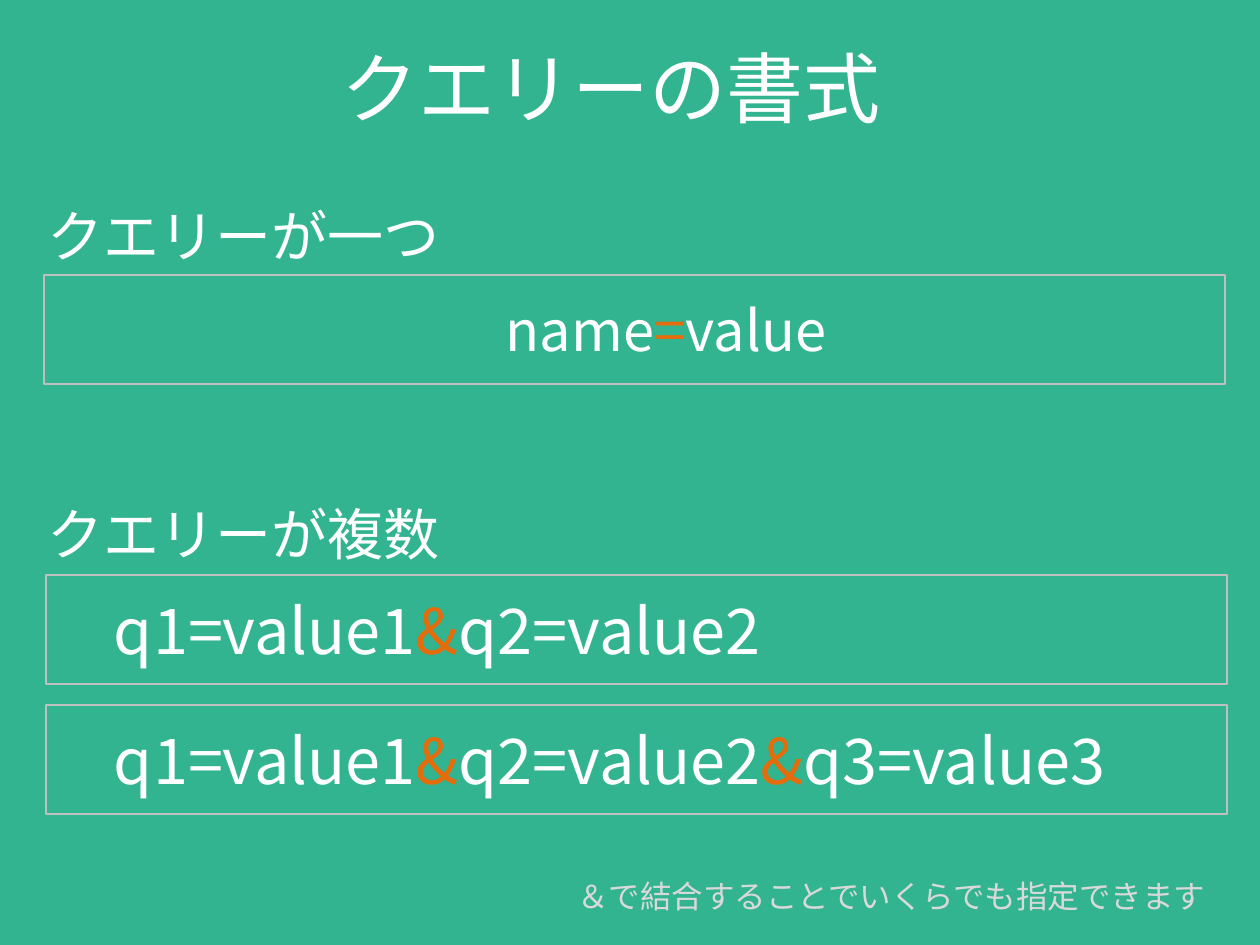
from dataclasses import dataclass

from pptx import Presentation
from pptx.dml.color import RGBColor
from pptx.enum import shapes, text
from pptx.oxml.ns import qn
from pptx.util import Emu, Pt


@dataclass(frozen=True)
class Theme:
    font: str = "Noto Sans CJK JP"
    background: str = "32B490"
    body: str = "FFFFFF"
    accent: str = "E46C0A"
    note: str = "D9D9D9"
    border: str = "BFBFBF"
    title_size: int = 44
    heading_size: int = 32
    code_size: int = 36
    note_size: int = 18


THEME = Theme()
EMU_PER_PX = 914400 / 126


def px(n):
    return Emu(round(n * EMU_PER_PX))


def box(*lengths):
    return [px(n) for n in lengths]


def write(tf, content, size, color=THEME.body, align=text.PP_ALIGN.LEFT,
          indent=0, accent_on=None):
    """Fill the first paragraph, colouring each accent_on symbol."""
    p = tf.paragraphs[0]
    p.alignment = align
    if indent:
        pPr = p._p.get_or_add_pPr()
        pPr.set("marL", str(px(indent)))
        pPr.set("indent", "0")
    parts = [content]
    if accent_on:
        parts = content.replace(accent_on, f"\n{accent_on}\n").split("\n")
    for part in parts:
        r = p.add_run()
        r.text = part
        r.font.size = Pt(size)
        r.font.name = THEME.font
        r.font.color.rgb = RGBColor.from_string(
            THEME.accent if part == accent_on else color)
        ea = r._r.get_or_add_rPr().makeelement(
            qn("a:ea"), {"typeface": THEME.font})
        r.font._element.find(qn("a:latin")).addnext(ea)


def add_title(s, content):
    sp = s.shapes.title
    sp.left, sp.top, sp.width, sp.height = box(44, 8, 1134, 157)
    tf = sp.text_frame
    tf.auto_size = text.MSO_AUTO_SIZE.NONE
    tf.vertical_anchor = text.MSO_ANCHOR.MIDDLE
    write(tf, content, THEME.title_size, align=text.PP_ALIGN.CENTER)


def add_label(s, content, left, top, width, height, size, color=THEME.body):
    tf = s.shapes.add_textbox(*box(left, top, width, height)).text_frame
    tf.word_wrap = False
    tf.auto_size = text.MSO_AUTO_SIZE.SHAPE_TO_FIT_TEXT
    write(tf, content, size, color)


def add_code_box(s, content, left, top, size, accent_on,
                 align=text.PP_ALIGN.LEFT):
    sp = s.shapes.add_shape(shapes.MSO_SHAPE.RECTANGLE,
                            *box(left, top, 1181, 109))
    sp.shadow.inherit = False
    sp.fill.background()
    sp.line.color.rgb = RGBColor.from_string(THEME.border)
    sp.line.width = Pt(0.75)
    tf = sp.text_frame
    tf.word_wrap = True
    tf.vertical_anchor = text.MSO_ANCHOR.MIDDLE
    tf.margin_left = tf.margin_right = px(5)
    tf.margin_top = tf.margin_bottom = px(25)
    write(tf, content, size, align=align, indent=63, accent_on=accent_on)


def main():
    prs = Presentation()
    prs.slide_width, prs.slide_height = box(1260, 945)
    s = prs.slides.add_slide(prs.slide_layouts[5])
    s.background.fill.solid()
    s.background.fill.fore_color.rgb = RGBColor.from_string(THEME.background)

    add_title(s, "クエリーの書式")

    # Section headings
    for heading, top in (("クエリーが一つ", 195), ("クエリーが複数", 493)):
        add_label(s, heading, 35, top, 421, 81, THEME.heading_size)

    # Single query
    add_code_box(s, "name=value", 44, 275, THEME.heading_size, "=",
                 text.PP_ALIGN.CENTER)

    # Several queries
    for count, top in ((2, 575), (3, 705)):
        query = "&".join(f"q{i}=value{i}" for i in range(1, count + 1))
        add_code_box(s, query, 46, top, THEME.code_size, "&")

    # Closing note
    add_label(s, "＆で結合することでいくらでも指定できます", 565, 871, 661, 50,
              THEME.note_size, THEME.note)

    prs.save("out.pptx")


if __name__ == "__main__":
    main()
